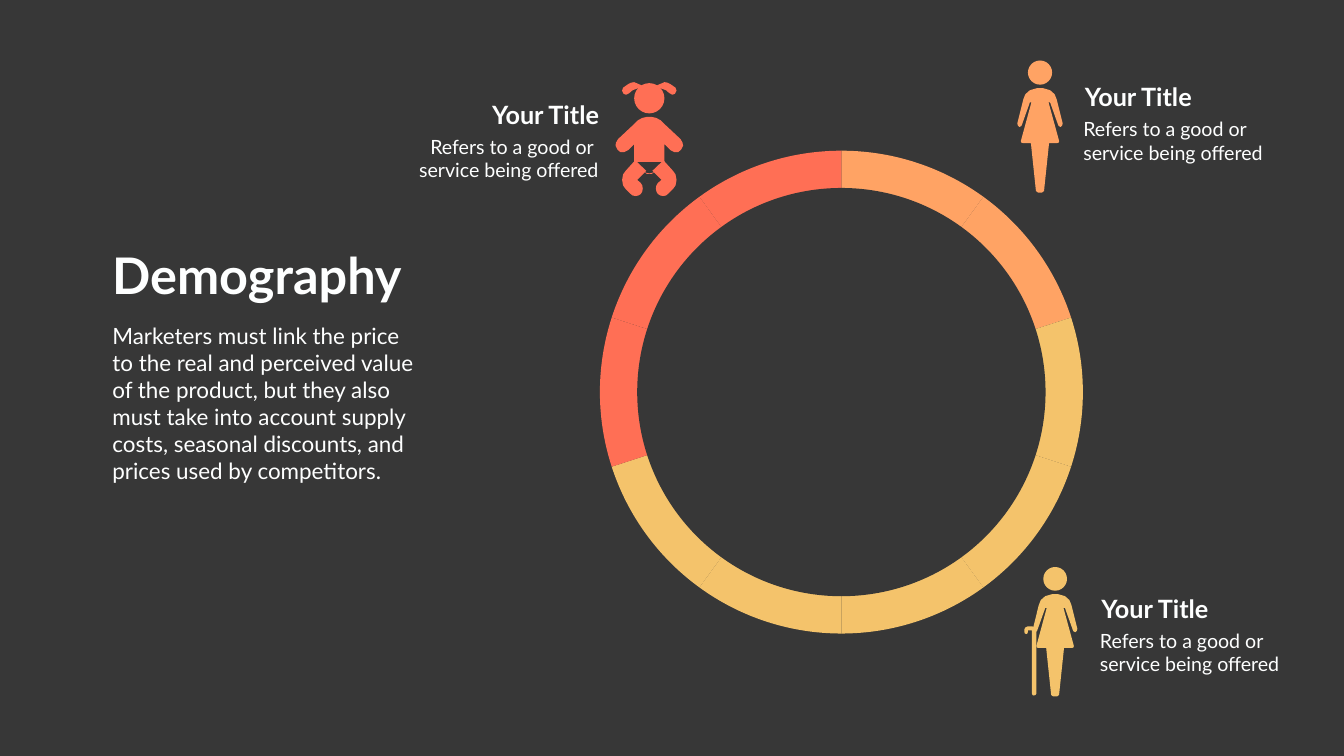
import math
from dataclasses import dataclass

import pptx
import pptx.dml.color
import pptx.enum.shapes
import pptx.enum.text
import pptx.util

Inches = pptx.util.Inches
Align = pptx.enum.text.PP_ALIGN
Points = list[tuple[float, float]]

HUES = {"back": "373737", "text": "FEFFFF", "child": "FF6F55",
        "adult": "FFA364", "elder": "F4C36B"}

# Text formats
HEAD = {"size": pptx.util.Pt(72), "bold": True}
BODY = {"size": pptx.util.Pt(32), "bold": False}
NAME = {"size": pptx.util.Pt(36), "bold": True}
NOTE = {"size": pptx.util.Pt(28), "bold": False}

# Right halves of the icon outlines: x from the middle line, y from the icon top
DRESS = [(0, 0), (.06, 0), (.2, .04), (.29, .12), (.33, .22), (.45, .7), (.44, .74),
         (.41, .77), (.37, .75), (.36, .73), (.2, .28), (.17, .28), (.38, 1.05),
         (.37, 1.08), (.34, 1.09), (.18, 1.09), (.08, 2.04), (.04, 2.07), (0, 2.07)]
TORSO = [(0, .66), (.05, .66), (.14, .68), (.23, .73), (.31, .81), (.62, 1.1),
         (.66, 1.17), (.67, 1.23), (.63, 1.31), (.57, 1.36), (.5, 1.36), (.42, 1.32),
         (.3, 1.2), (.3, 1.55), (0, 1.55)]
LEG = [(.28, 1.52), (.47, 1.73), (.52, 1.8), (.54, 1.91), (.52, 2.02), (.47, 2.09),
       (.38, 2.18), (.33, 2.22), (.27, 2.23), (.22, 2.22), (.17, 2.19), (.14, 2.14),
       (.13, 2.08), (.14, 2.02), (.17, 1.97), (.24, 1.91), (.06, 1.73)]
TAIL = [(.1, .09), (.16, .03), (.23, 0), (.3, -.03), (.36, -.02), (.42, .01),
        (.52, .08), (.54, .14), (.51, .2), (.46, .22), (.4, .19), (.33, .13), (.22, .09)]
DIAPER = [(0, 1.78), (.06, 1.77), (.1, 1.75), (.05, 1.79), (0, 1.79)]
CANE = [(.06, 0), (.16, 0), (.21, .02), (.24, .08), (.24, 1.33), (.22, 1.36),
        (.19, 1.37), (.16, 1.36), (.15, 1.33), (.15, .08), (.07, .08), (.07, .11),
        (.06, .14), (.04, .15), (.01, .14), (0, .11), (0, .06), (.02, .02)]


@dataclass
class Label:
    left: float
    top: float
    side: Align
    shift: float  # left edge of the note, from that of the name
    lines: list[str]


LABELS = [
    Label(9.37, 1.92, Align.RIGHT, -1.37, ["Refers to a good or ", "service being offered"]),
    Label(21.42, 1.57, Align.LEFT, -.03, ["Refers to a good or", "service being offered"]),
    Label(21.75, 11.72, Align.LEFT, -.03, ["Refers to a good or", "service being offered"]),
]


def color(key: str) -> pptx.dml.color.RGBColor:
    return pptx.dml.color.RGBColor.from_string(HUES[key])


def paint(shape, key: str) -> None:
    shape.shadow.inherit = False
    shape.fill.solid()
    shape.fill.fore_color.rgb = color(key)
    shape.line.fill.background()


def trace(slide, dots: Points, key: str) -> None:
    path = [(Inches(x), Inches(y)) for x, y in dots]
    pen = slide.shapes.build_freeform(*path[0])
    pen.add_line_segments(path[1:], close=True)
    paint(pen.convert_to_shape(), key)


def disc(slide, x: float, y: float, radius: float, key: str) -> None:
    shape = slide.shapes.add_shape(
        pptx.enum.shapes.MSO_SHAPE.OVAL, Inches(x - radius), Inches(y - radius),
        Inches(2 * radius), Inches(2 * radius))
    paint(shape, key)


def place(half: Points, x: float, y: float, scale: float = 1, sign: int = 1) -> Points:
    return [(x + sign * scale * dx, y + scale * dy) for dx, dy in half]


def whole(half: Points, x: float, y: float, scale: float = 1) -> Points:
    return place(half, x, y, scale) + place(half, x, y, scale, -1)[::-1]


def write(box, lines: list[str], style: dict, side: Align, wrap: bool = True) -> None:
    frame = box.text_frame
    frame.word_wrap = wrap
    frame.auto_size = pptx.enum.text.MSO_AUTO_SIZE.NONE
    frame.vertical_anchor = pptx.enum.text.MSO_ANCHOR.TOP
    frame.text = "\n".join(lines)
    for para in frame.paragraphs:
        para.alignment = side
        for run in para.runs:
            for key, value in {"name": "Lato", **style}.items():
                setattr(run.font, key, value)
            run.font.color.rgb = color("text")


def text(slide, area: tuple, lines: list[str], style: dict, side: Align) -> None:
    box = slide.shapes.add_textbox(*map(Inches, area))
    write(box, lines, style, side)


def ring(slide) -> None:
    x, y, radius, step = 16.69, 7.78, 4.79, 36
    keys = ["adult"] * 2 + ["elder"] * 5 + ["child"] * 3
    for i, key in enumerate(keys):
        turns = [math.radians(i * step + k) for k in range(step + 1)]
        arc = [(x + radius * math.sin(a), y - radius * math.cos(a)) for a in turns]
        trace(slide, [(x, y)] + arc, key)
    disc(slide, x, y, 4.05, "back")


def woman(slide, x: float, top: float, scale: float, key: str) -> None:
    disc(slide, x, top + .24 * scale, .24 * scale, key)
    trace(slide, whole(DRESS, x, top + .55 * scale, scale), key)


def baby(slide, x: float, top: float) -> None:
    disc(slide, x, top + .29, .3, "child")
    for half in (TORSO, DIAPER):
        trace(slide, whole(half, x, top), "child")
    for half in (LEG, TAIL):
        for sign in (-1, 1):
            trace(slide, place(half, x, top, sign=sign), "child")


def main() -> None:
    deck = pptx.Presentation()
    deck.slide_width, deck.slide_height = Inches(26.66), Inches(15)
    slide = deck.slides.add_slide(deck.slide_layouts.get_by_name("Title Only"))
    slide.background.fill.solid()
    slide.background.fill.fore_color.rgb = color("back")

    # Ring and icons
    ring(slide)
    baby(slide, 12.88, 1.66)
    woman(slide, 20.63, 1.2, 1, "adult")
    woman(slide, 20.93, 11.25, .98, "elder")
    trace(slide, place(CANE, 20.32, 12.43), "elder")

    # Title and body
    title = slide.shapes.title
    area = {"left": 2.06, "top": 4.8, "width": 6.07, "height": 1.31}
    for key, value in area.items():
        setattr(title, key, Inches(value))
    write(title, ["Demography"], HEAD, Align.CENTER, wrap=False)
    text(slide, (2.13, 6.35, 6.22, 3.33), [
        "Marketers must link the price to the real and perceived value of the product, "
        "but they also must take into account supply costs, seasonal discounts, "
        "and prices used by competitors."], BODY, Align.LEFT)

    # Labels by the icons
    for label in LABELS:
        text(slide, (label.left, label.top, 2.61, .71), ["Your Title"], NAME, label.side)
        text(slide, (label.left + label.shift, label.top + .7, 3.97, 1.04),
             label.lines, NOTE, label.side)

    deck.save("out.pptx")


if __name__ == "__main__":
    main()
